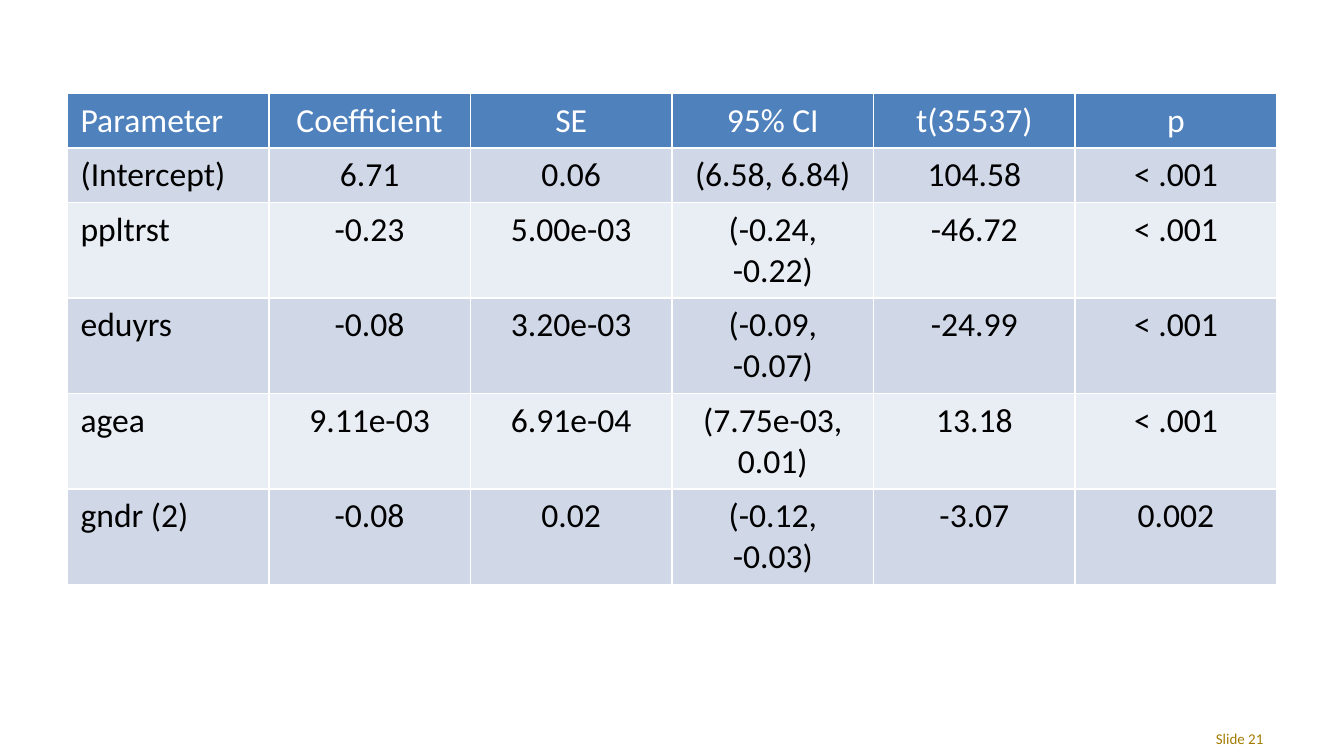
"""Build a slide with a table of regression coefficients."""
from lxml import etree
from pptx import Presentation
from pptx.dml.color import RGBColor
from pptx.enum import text
from pptx.oxml import ns
from pptx.util import Pt

FONT = "Calibri"
WHITE = RGBColor(0xFF, 0xFF, 0xFF)
BLACK = RGBColor(0, 0, 0)
BLUE = RGBColor(0x4F, 0x81, 0xBD)
BANDS = (RGBColor(0xD0, 0xD8, 0xE8), RGBColor(0xE9, 0xED, 0xF4))
GOLD = RGBColor(0xA2, 0x7B, 0x00)

COLUMN_WIDTH = 108
ONE_LINE, TWO_LINES = 29.1, 51.15
ROW_HEIGHTS = [ONE_LINE] * 2 + [TWO_LINES] * 4
ROWS = [
    ("Parameter", "Coefficient", "SE", "95% CI", "t(35537)", "p"),
    ("(Intercept)", "6.71", "0.06", "(6.58, 6.84)", "104.58", "< .001"),
    ("ppltrst", "-0.23", "5.00e-03", "(-0.24, -0.22)", "-46.72", "< .001"),
    ("eduyrs", "-0.08", "3.20e-03", "(-0.09, -0.07)", "-24.99", "< .001"),
    ("agea", "9.11e-03", "6.91e-04", "(7.75e-03, 0.01)", "13.18", "< .001"),
    ("gndr (2)", "-0.08", "0.02", "(-0.12, -0.03)", "-3.07", "0.002"),
]


def format_paragraph(para, size, color, align):
    """Set the font and alignment of a paragraph."""
    para.alignment = align
    para.font.name = FONT
    para.font.size = Pt(size)
    para.font.bold = False
    para.font.color.rgb = color


def add_borders(cell, color, width):
    """Draw a solid line on all four sides of a cell."""
    properties = cell._tc.get_or_add_tcPr()
    for index, side in enumerate(("lnL", "lnR", "lnT", "lnB")):
        line = etree.Element(ns.qn(f"a:{side}"), w=str(Pt(width)))
        fill = etree.SubElement(line, ns.qn("a:solidFill"))
        etree.SubElement(fill, ns.qn("a:srgbClr"), val=str(color))
        properties.insert(index, line)


def fill_cell(cell, value, row, column):
    """Write and style one table cell."""
    is_header = row == 0
    cell.text = value
    cell.fill.solid()
    cell.fill.fore_color.rgb = BLUE if is_header else BANDS[(row - 1) % 2]
    align = text.PP_ALIGN.CENTER if column else text.PP_ALIGN.LEFT
    color = WHITE if is_header else BLACK
    format_paragraph(cell.text_frame.paragraphs[0], 18, color, align)
    add_borders(cell, WHITE, 1)


def add_coefficient_table(page):
    """Add the table of coefficients."""
    column_count = len(ROWS[0])
    frame = page.shapes.add_table(
        len(ROWS), column_count, Pt(36), Pt(50),
        Pt(COLUMN_WIDTH * column_count), Pt(sum(ROW_HEIGHTS)))
    table = frame.table
    for column in table.columns:
        column.width = Pt(COLUMN_WIDTH)
    for row, values in enumerate(ROWS):
        table.rows[row].height = Pt(ROW_HEIGHTS[row])
        for column, value in enumerate(values):
            fill_cell(table.cell(row, column), value, row, column)


def add_slide_label(page, label):
    """Add the slide number label at the bottom right."""
    box = page.shapes.add_textbox(Pt(631.5), Pt(389), Pt(52.5), Pt(13))
    frame = box.text_frame
    frame.word_wrap = True
    frame.vertical_anchor = text.MSO_ANCHOR.MIDDLE
    frame.text = label
    format_paragraph(frame.paragraphs[0], 8, GOLD, text.PP_ALIGN.RIGHT)


def main():
    """Build and save the deck."""
    deck = Presentation()
    deck.slide_width, deck.slide_height = Pt(720), Pt(405)
    page = deck.slides.add_slide(deck.slide_layouts[6])
    add_coefficient_table(page)
    add_slide_label(page, "Slide 21")
    deck.save("out.pptx")


main()
